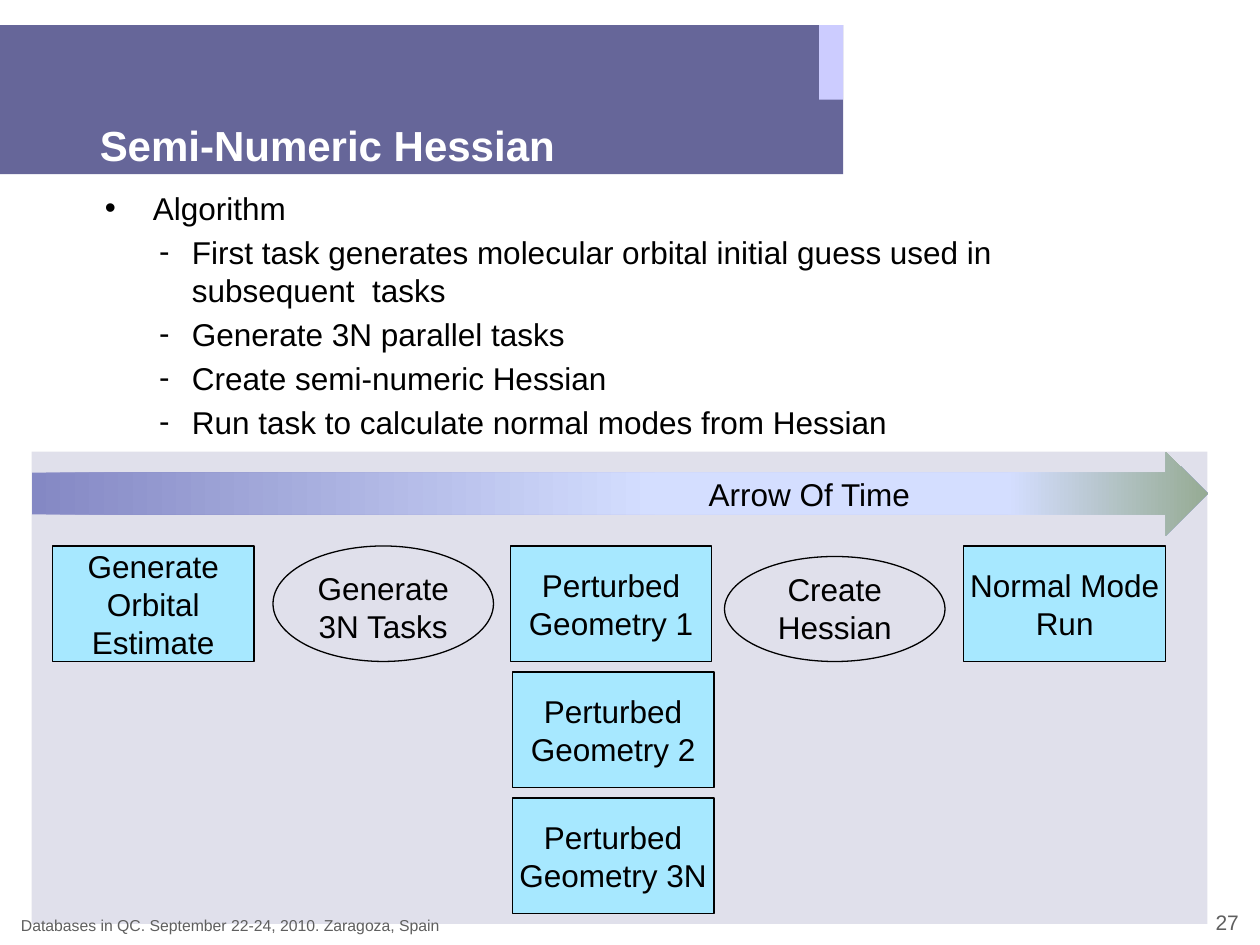
from lxml.etree import SubElement
from pptx import Presentation
from pptx.dml.color import RGBColor
from pptx.enum.shapes import MSO_SHAPE as Preset
from pptx.enum.text import MSO_ANCHOR as Anchor, MSO_AUTO_SIZE as AutoSize, PP_ALIGN as Align
from pptx.oxml.ns import qn
from pptx.util import Inches, Pt

COLORS = {
    "banner": "666699", "tab": "CCCCFF", "panel": "E0E0EB", "task": "A7E8FF",
    "black": "000000", "white": "FFFFFF", "grey": "5F5F5F",
}
TIME_STOPS = [(0, "8488C4"), (53, "D4DEFF"), (83, "D4DEFF"), (100, "96AB94")]
BULLETS = [
    ("•", 0.38, 0.38, "Algorithm"),
    ("-", 0.69, 0.26, "First task generates molecular orbital initial guess used in subsequent  tasks"),
    ("-", 0.69, 0.26, "Generate 3N parallel tasks"),
    ("-", 0.69, 0.26, "Create semi-numeric Hessian"),
    ("-", 0.69, 0.26, "Run task to calculate normal modes from Hessian"),
]
TASKS = [
    (5, 52, "Generate Orbital Estimate"),
    (48.6, 52, "Perturbed Geometry 1"),
    (48.8, 64, "Perturbed Geometry 2"),
    (48.8, 76, "Perturbed Geometry 3N"),
    (91.8, 52, "Normal Mode Run"),
]
STEPS = [(26, 52, 11, "Generate 3N Tasks"), (69, 53, 10, "Create Hessian")]


class SlideBuilder:
    """Draws styled elements on a slide with a grid of 120 columns by 90 rows."""

    def __init__(self, presentation):
        self.slide = presentation.slides.add_slide(presentation.slide_layouts[5])
        self.column = presentation.slide_width / 120
        self.row = presentation.slide_height / 90

    def place(self, column, row, columns, rows):
        return (round(column * self.column), round(row * self.row),
                round(columns * self.column), round(rows * self.row))

    def frame(self, shape, anchor, wrap=True, left=0):
        text_frame = shape.text_frame
        values = {"margin_left": Inches(left), "margin_right": 0, "margin_top": 0,
                  "margin_bottom": 0, "word_wrap": wrap, "auto_size": AutoSize.NONE,
                  "vertical_anchor": anchor}
        for name, value in values.items():
            setattr(text_frame, name, value)
        return text_frame

    def add_text(self, paragraph, text, size=18, color="black", align=Align.LEFT, bold=False):
        paragraph.alignment = align
        run = paragraph.add_run()
        run.text = text
        values = {"name": "Arial", "size": Pt(size), "bold": bold}
        for name, value in values.items():
            setattr(run.font, name, value)
        run.font.color.rgb = RGBColor.from_string(COLORS[color])

    def title(self, area, text):
        shape = self.slide.shapes.title
        shape.left, shape.top, shape.width, shape.height = self.place(*area)
        shape.element.getparent().append(shape.element)
        paragraph = self.frame(shape, Anchor.BOTTOM).paragraphs[0]
        self.add_text(paragraph, text, 24, "white", bold=True)

    def shape(self, preset, area, fill=None, outlined=False, text="", anchor=Anchor.MIDDLE, left=0):
        shape = self.slide.shapes.add_shape(preset, *self.place(*area))
        shape.shadow.inherit = False
        if fill:
            shape.fill.solid()
            shape.fill.fore_color.rgb = RGBColor.from_string(COLORS[fill])
        else:
            shape.fill.background()
        if outlined:
            shape.line.color.rgb = RGBColor.from_string(COLORS["black"])
            shape.line.width = Pt(0.75)
        else:
            shape.line.fill.background()
        if text:
            paragraph = self.frame(shape, anchor, left=left).paragraphs[0]
            self.add_text(paragraph, text, align=Align.CENTER)
        return shape

    def time_arrow(self, area, text, left):
        shape = self.shape(Preset.RIGHT_ARROW, area, text=text, left=left)
        shape.fill.gradient()
        shape.fill.gradient_angle = 0
        stops = shape.element.spPr.find(qn("a:gradFill")).find(qn("a:gsLst"))
        for stop in list(stops):
            stops.remove(stop)
        for percent, color in TIME_STOPS:
            stop = SubElement(stops, qn("a:gs"), pos=str(percent * 1000))
            SubElement(stop, qn("a:srgbClr"), val=color)

    def label(self, area, text, size, align=Align.LEFT, wrap=True):
        box = self.slide.shapes.add_textbox(*self.place(*area))
        paragraph = self.frame(box, Anchor.BOTTOM, wrap).paragraphs[0]
        self.add_text(paragraph, text, size, "grey", align)

    def bullets(self, area, items):
        box = self.slide.shapes.add_textbox(*self.place(*area))
        text_frame = self.frame(box, Anchor.TOP)
        for index, (mark, margin, hanging, text) in enumerate(items):
            paragraph = text_frame.add_paragraph() if index else text_frame.paragraphs[0]
            self.add_text(paragraph, text)
            paragraph.space_before = Pt(3.6)
            paragraph.level = 1 if index else 0
            properties = paragraph._p.get_or_add_pPr()
            properties.set("marL", str(Inches(margin)))
            properties.set("indent", str(-Inches(hanging)))
            SubElement(properties, qn("a:buFont"), typeface="Arial")
            SubElement(properties, qn("a:buChar"), char=mark)


def main():
    presentation = Presentation()
    presentation.slide_width, presentation.slide_height = Inches(10), Inches(7.5)
    builder = SlideBuilder(presentation)
    builder.shape(Preset.RECTANGLE, (0, 2.4, 80.3, 14.2), "banner")
    builder.label((98, 86.6, 20, 2.4), "27", 12, Align.RIGHT)
    builder.shape(Preset.RECTANGLE, (78, 2.4, 2.3, 7.1), "tab")
    builder.shape(Preset.RECTANGLE, (3, 43, 112, 45), "panel")
    builder.title((9.5, 7.1, 66.1, 9.1), "Semi-Numeric Hessian")
    builder.bullets((10, 18, 99.1, 60), BULLETS)
    for column, row, text in TASKS:
        builder.shape(Preset.FLOWCHART_PROCESS, (column, row, 19.2, 11), "task", True, text)
    builder.time_arrow((3, 43, 112, 8), "Arrow Of Time", 3.18)
    for column, row, rows, text in STEPS:
        builder.shape(Preset.OVAL, (column, row, 21, rows), None, True, text, Anchor.BOTTOM)
    builder.label((2, 87, 66, 2), "Databases in QC. September 22-24, 2010. Zaragoza, Spain", 9, wrap=False)
    presentation.save("out.pptx")


if __name__ == "__main__":
    main()
